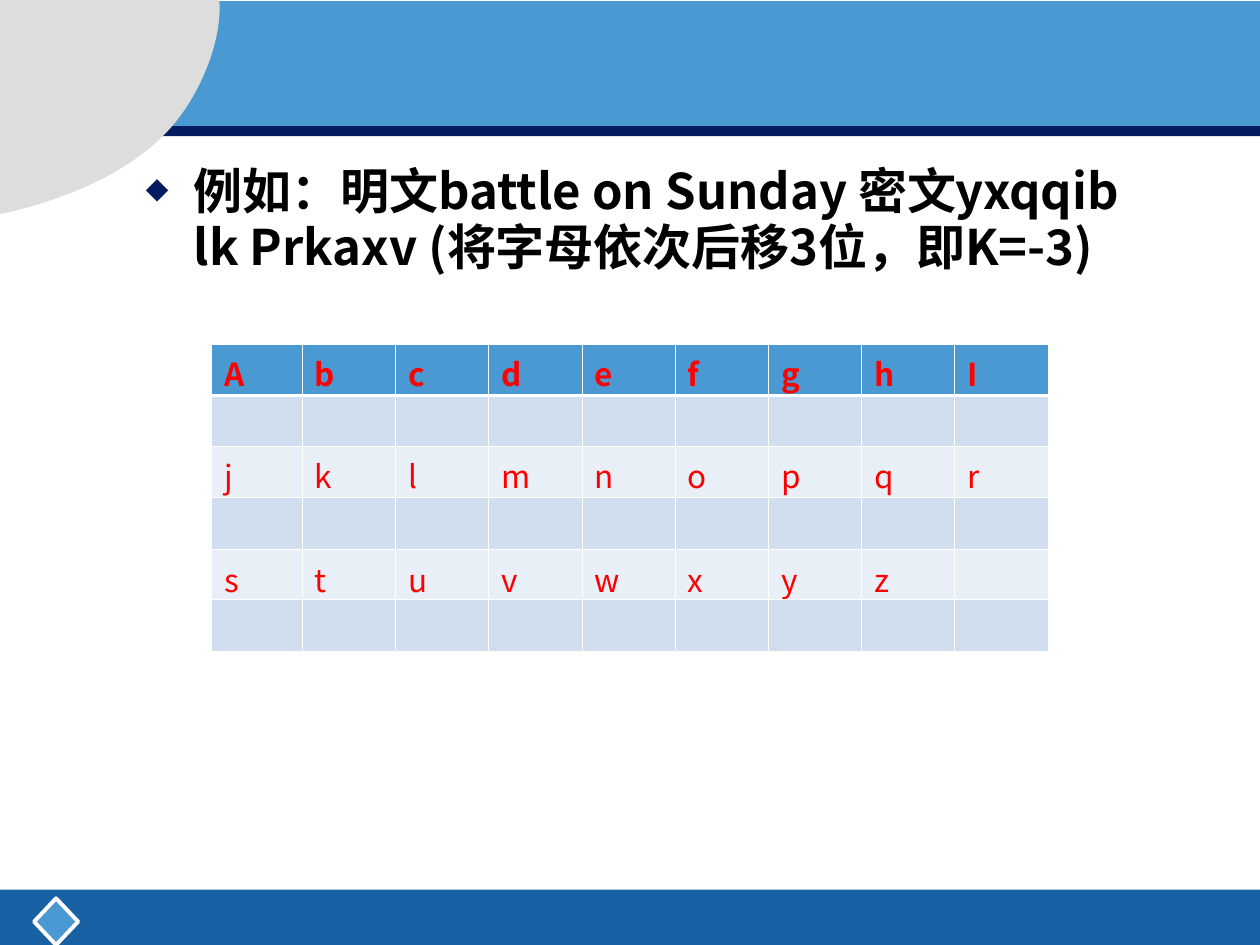
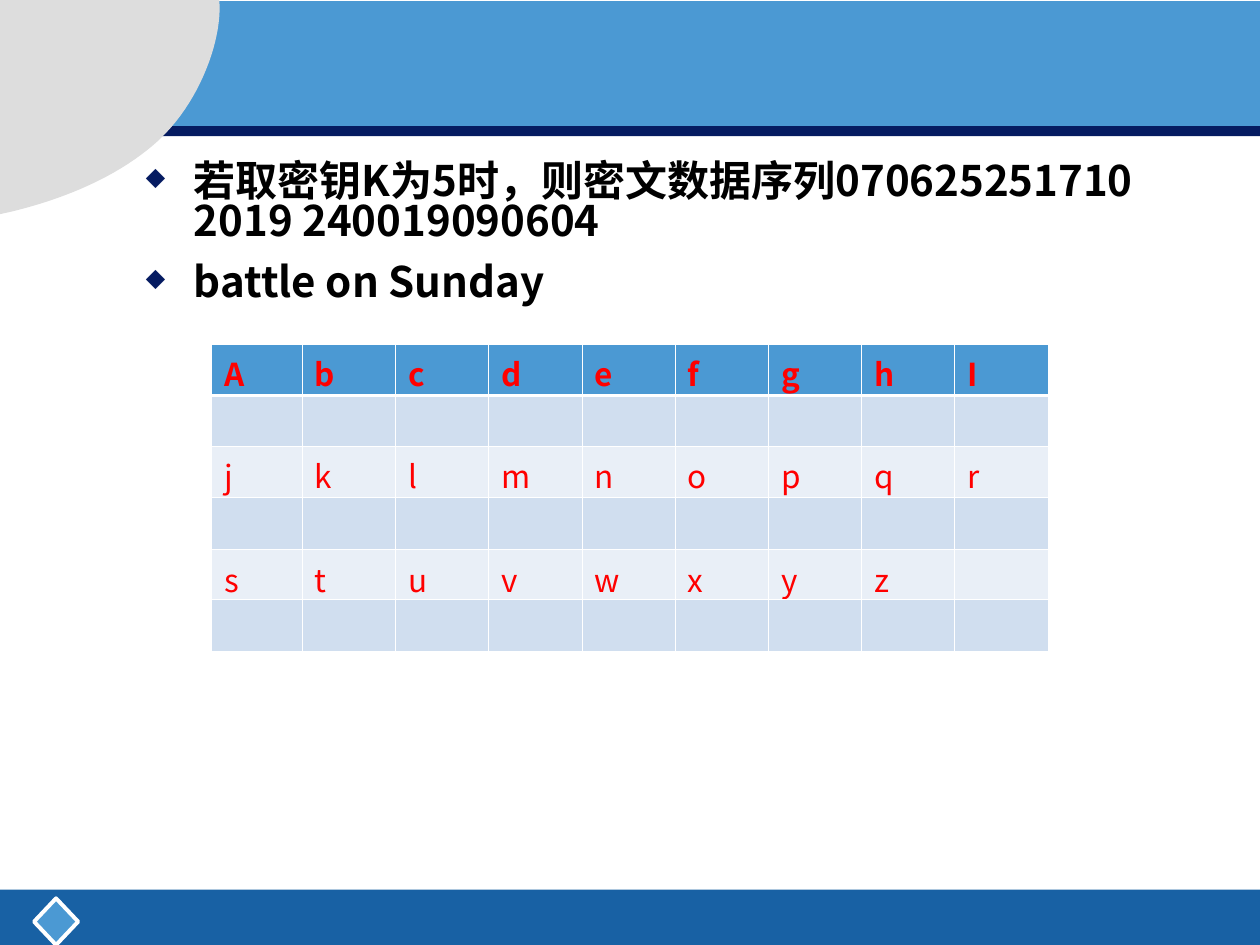
from dataclasses import dataclass
from typing import NamedTuple

from lxml.etree import SubElement
from pptx import Presentation
from pptx.dml.color import RGBColor
from pptx.enum.shapes import MSO_SHAPE
from pptx.oxml import parse_xml
from pptx.oxml.ns import nsdecls, qn
from pptx.util import Inches, Pt


@dataclass(frozen=True)
class Theme:
    """Colours, font and type sizes of the deck."""
    sky: str = "4B99D3"
    navy: str = "051B61"
    base: str = "1861A4"
    grey: str = "DDDDDD"
    white: str = "FFFFFF"
    black: str = "000000"
    red: str = "FF0000"
    dark_row: str = "D0DEEF"
    light_row: str = "E9EFF7"
    font: str = "Noto Sans CJK SC"
    cell_size: float = 18
    thin: float = 0.45
    thick: float = 1.47


class Band(NamedTuple):
    """A preset shape shared by all slides."""
    kind: MSO_SHAPE
    left: float
    top: float
    width: float
    height: float
    fill: str
    edge: str = ""


class Page(NamedTuple):
    """The bullets of one slide and their setting."""
    size: float
    leading: float
    gap: float
    lines: tuple[str, ...]


THEME = Theme()
BANDS = (
    Band(MSO_SHAPE.RECTANGLE, 0, 7.06, 10, 0.45, THEME.base),
    Band(MSO_SHAPE.DIAMOND, 0.27, 7.13, 0.35, 0.37, THEME.sky, THEME.white),
    Band(MSO_SHAPE.RECTANGLE, 0, 0.76, 10.01, 0.32, THEME.navy),
    Band(MSO_SHAPE.RECTANGLE, 0.03, 0.01, 9.97, 0.99, THEME.sky),
)
LOWER = ((1.17, 1.19), (0.77, 1.51), (0.24, 1.65), (0, 1.7))
RIGHT = ((1.74, 0), (1.77, 0.32), (1.57, 0.88), (1.17, 1.19))
PAGES = (
    Page(28, 0.95, 14, (
        "例如：明文battle on Sunday 密文yxqqib lk Prkaxv (将字母依次后移3位，即K=-3)",)),
    Page(24, 0.79, 12, (
        "若取密钥K为5时，则密文数据序列070625251710 2019 240019090604",
        "battle on Sunday")),
)
ROWS = ("AbcdefghI", "", "jklmnopqr", "", "stuvwxyz", "")
COLS = 9


def rgb(code: str) -> RGBColor:
    """Turn a hex code into a colour."""
    return RGBColor.from_string(code)


def paint(shape, fill: str, edge: str = "") -> None:
    """Set the fill and edge of a shape and drop its shadow."""
    shape.shadow.inherit = False
    shape.fill.solid()
    shape.fill.fore_color.rgb = rgb(fill)
    if edge:
        shape.line.color.rgb = rgb(edge)
        shape.line.width = Pt(2.25)
    else:
        shape.line.fill.background()


def curve(knots: tuple, steps: int = 24) -> list[tuple[int, int]]:
    """Trace a cubic curve as a list of points."""
    spots = []
    for step in range(steps + 1):
        t = step / steps
        parts = ((1 - t) ** 3, 3 * t * (1 - t) ** 2, 3 * t * t * (1 - t), t ** 3)
        spots.append(tuple(
            Inches(sum(part * knot[axis] for part, knot in zip(parts, knots)))
            for axis in (0, 1)))
    return spots


def draw_frame(slide) -> None:
    """Draw the bands and the rounded corner."""
    for band in BANDS:
        place = map(Inches, (band.left, band.top, band.width, band.height))
        paint(slide.shapes.add_shape(band.kind, *place), band.fill, band.edge)
    edge = [*curve(LOWER), (0, 0), *curve(RIGHT)]
    pen = slide.shapes.build_freeform(*edge[0])
    pen.add_line_segments(edge[1:], close=True)
    paint(pen.convert_to_shape(), THEME.grey)


def add_run(para, text: str, size: float, ink: str, bold: bool) -> None:
    """Add one run in the theme font."""
    run = para.add_run()
    run.text = text
    font = run.font
    font.name, font.size, font.bold = THEME.font, Pt(size), bold
    font.color.rgb = rgb(ink)
    SubElement(run._r.get_or_add_rPr(), qn("a:ea"), typeface=THEME.font)


def add_mark(para) -> None:
    """Give a paragraph a diamond bullet and a hanging indent."""
    props = para._p.get_or_add_pPr()
    props.set("marL", str(Inches(0.38)))
    props.set("indent", str(-Inches(0.38)))
    tint = SubElement(props, qn("a:buClr"))
    SubElement(tint, qn("a:srgbClr"), val=THEME.navy)
    SubElement(props, qn("a:buSzPct"), val="60000")
    SubElement(props, qn("a:buChar"), char="◆")


def draw_text(slide, page: Page) -> None:
    """Write the bullets of a page."""
    box = slide.shapes.add_textbox(*map(Inches, (1.06, 1.23, 8.35, 5.36)))
    frame = box.text_frame
    frame.word_wrap = True
    frame.margin_top = Inches(0.08)
    for index, line in enumerate(page.lines):
        para = frame.add_paragraph() if index else frame.paragraphs[0]
        add_mark(para)
        para.line_spacing = page.leading
        para.space_before = Pt(page.gap if index else 0)
        add_run(para, line, page.size, THEME.black, True)


def rule_cell(cell, row: int) -> None:
    """Rule the four sides of a cell in white."""
    heavy = {0: "B", 1: "T"}.get(row)
    props = cell._tc.get_or_add_tcPr()
    for index, side in enumerate("LRTB"):
        width = Pt(THEME.thick if side == heavy else THEME.thin)
        props.insert(index, parse_xml(
            f'<a:ln{side} {nsdecls("a")} w="{width}"><a:solidFill>'
            f'<a:srgbClr val="{THEME.white}"/></a:solidFill></a:ln{side}>'))


def draw_grid(slide) -> None:
    """Draw the table of letters."""
    place = map(Inches, (1.68, 2.73, 6.64, 2.43))
    table = slide.shapes.add_table(len(ROWS), COLS, *place).table
    table.horz_banding = False
    for index, col in enumerate(table.columns):
        col.width = Inches(0.74 if index else 0.72)
    for row, text in enumerate(ROWS):
        table.rows[row].height = Inches(0.4 if row in (1, 4) else 0.41)
        fill = THEME.dark_row if row % 2 else THEME.light_row
        for col in range(COLS):
            cell = table.cell(row, col)
            cell.fill.solid()
            cell.fill.fore_color.rgb = rgb(fill if row else THEME.sky)
            rule_cell(cell, row)
            if col < len(text):
                add_run(cell.text_frame.paragraphs[0], text[col],
                        THEME.cell_size, THEME.red, row == 0)


def main() -> None:
    """Build and save the deck."""
    deck = Presentation()
    deck.slide_width, deck.slide_height = Inches(10), Inches(7.5)
    for page in PAGES:
        slide = deck.slides.add_slide(deck.slide_layouts[6])
        draw_frame(slide)
        draw_text(slide, page)
        draw_grid(slide)
    deck.save("out.pptx")


if __name__ == "__main__":
    main()
